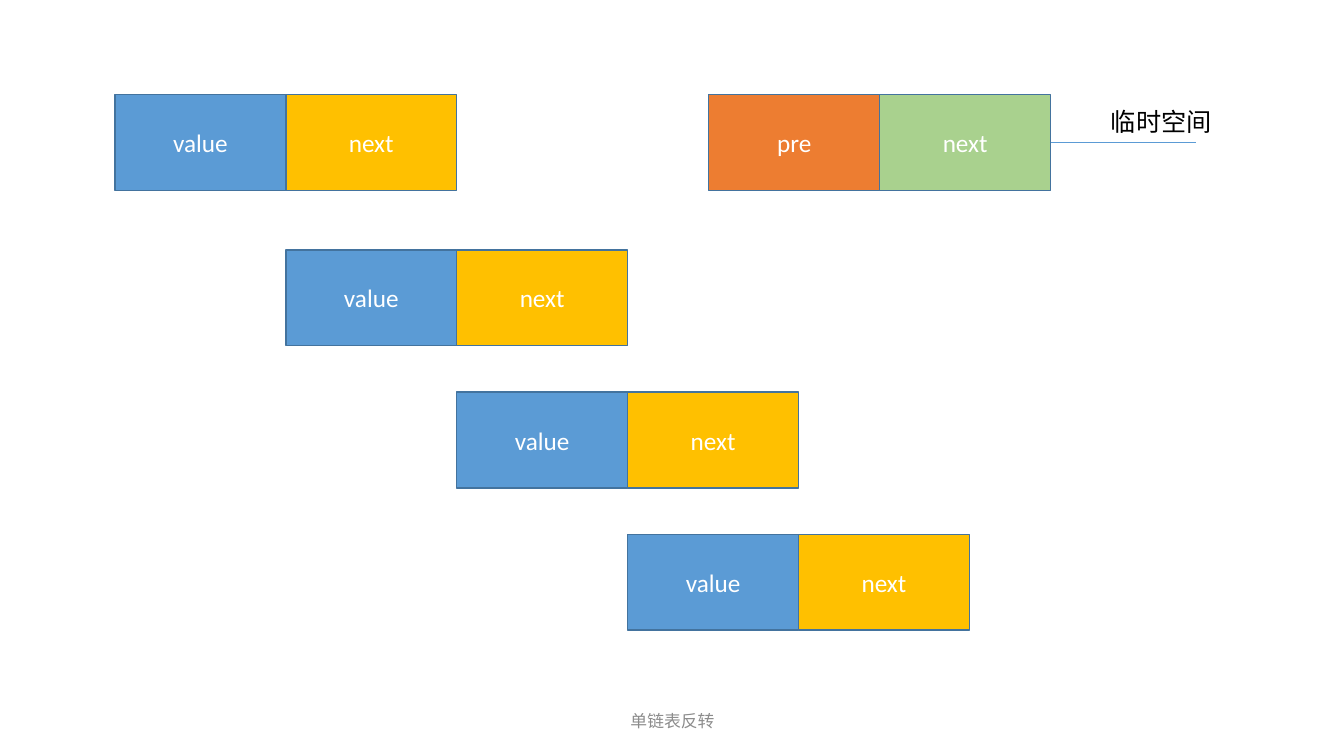
from lxml import etree
from pptx import Presentation
from pptx.dml.color import RGBColor
from pptx.enum.shapes import MSO_CONNECTOR as Connector
from pptx.enum.shapes import MSO_SHAPE as Shape
from pptx.enum.text import MSO_ANCHOR as Anchor
from pptx.enum.text import PP_ALIGN as Align
from pptx.oxml.ns import qn
from pptx.util import Inches, Pt

COLORS = {
    "value": "5B9BD5",
    "next": "FFC000",
    "pre": "ED7D31",
    "temporary": "A9D18E",
    "outline": "43739E",
    "light": "FFFFFF",
    "dark": "000000",
    "footer": "8C8C8C",
}
LATIN_FONT = "Calibri"
CHINESE_FONT = "Noto Sans CJK SC"
CELL_WIDTH = 6.78 / 4
CELL_HEIGHT = 0.95
LIST_LEFT = 1.14
NODE_TOPS = (0.94, 2.48, 3.89, 5.3)


def color(name):
    return RGBColor.from_string(COLORS[name])


def write_text(shape, text, size, color_name, font, align, anchor):
    frame = shape.text_frame
    frame.word_wrap = True
    frame.vertical_anchor = anchor
    paragraph = frame.paragraphs[0]
    paragraph.alignment = align
    run = paragraph.add_run()
    run.text = text
    run.font.size = Pt(size)
    run.font.color.rgb = color(color_name)
    run.font.name = font
    east_asian = etree.SubElement(run.font._element, qn("a:ea"))
    east_asian.set("typeface", CHINESE_FONT)


def add_node(slide, left, top, cells):
    for index, (text, fill) in enumerate(cells):
        shape = slide.shapes.add_shape(
            Shape.RECTANGLE,
            Inches(left + index * CELL_WIDTH), Inches(top),
            Inches(CELL_WIDTH), Inches(CELL_HEIGHT),
        )
        shape.shadow.inherit = False
        shape.fill.solid()
        shape.fill.fore_color.rgb = color(fill)
        shape.line.color.rgb = color("outline")
        shape.line.width = Pt(1)
        write_text(shape, text, 18, "light", LATIN_FONT, Align.CENTER, Anchor.MIDDLE)


def add_linked_list(slide, left, tops):
    for index, top in enumerate(tops):
        add_node(slide, left + index * CELL_WIDTH, top,
                 [("value", "value"), ("next", "next")])


def add_temporary_space(slide, left, top):
    add_node(slide, left, top, [("pre", "pre"), ("next", "temporary")])
    right = left + 2 * CELL_WIDTH
    middle = Inches(top + CELL_HEIGHT / 2)
    line = slide.shapes.add_connector(
        Connector.STRAIGHT, Inches(right), middle, Inches(right + 1.44), middle)
    line.line.color.rgb = color("value")
    line.line.width = Pt(0.5)
    etree.SubElement(line._element.spPr, qn("a:effectLst"))
    label = slide.shapes.add_textbox(
        Inches(right + 0.5), Inches(top + 0.07), Inches(1.81), Inches(0.4))
    write_text(label, "临时空间", 18, "dark", CHINESE_FONT, Align.LEFT, Anchor.TOP)


def add_footer(slide, left, top, width, height):
    footer = slide.shapes.add_textbox(
        Inches(left), Inches(top), Inches(width), Inches(height))
    write_text(footer, "单链表反转", 12, "footer", LATIN_FONT, Align.CENTER, Anchor.MIDDLE)


def main():
    presentation = Presentation()
    presentation.slide_width = Inches(13.33)
    presentation.slide_height = Inches(7.5)
    slide = presentation.slides.add_slide(presentation.slide_layouts[6])
    add_linked_list(slide, LIST_LEFT, NODE_TOPS)
    add_temporary_space(slide, 7.03, NODE_TOPS[0])
    add_footer(slide, 4.42, 6.95, 4.5, 0.4)
    presentation.save("out.pptx")


if __name__ == "__main__":
    main()
